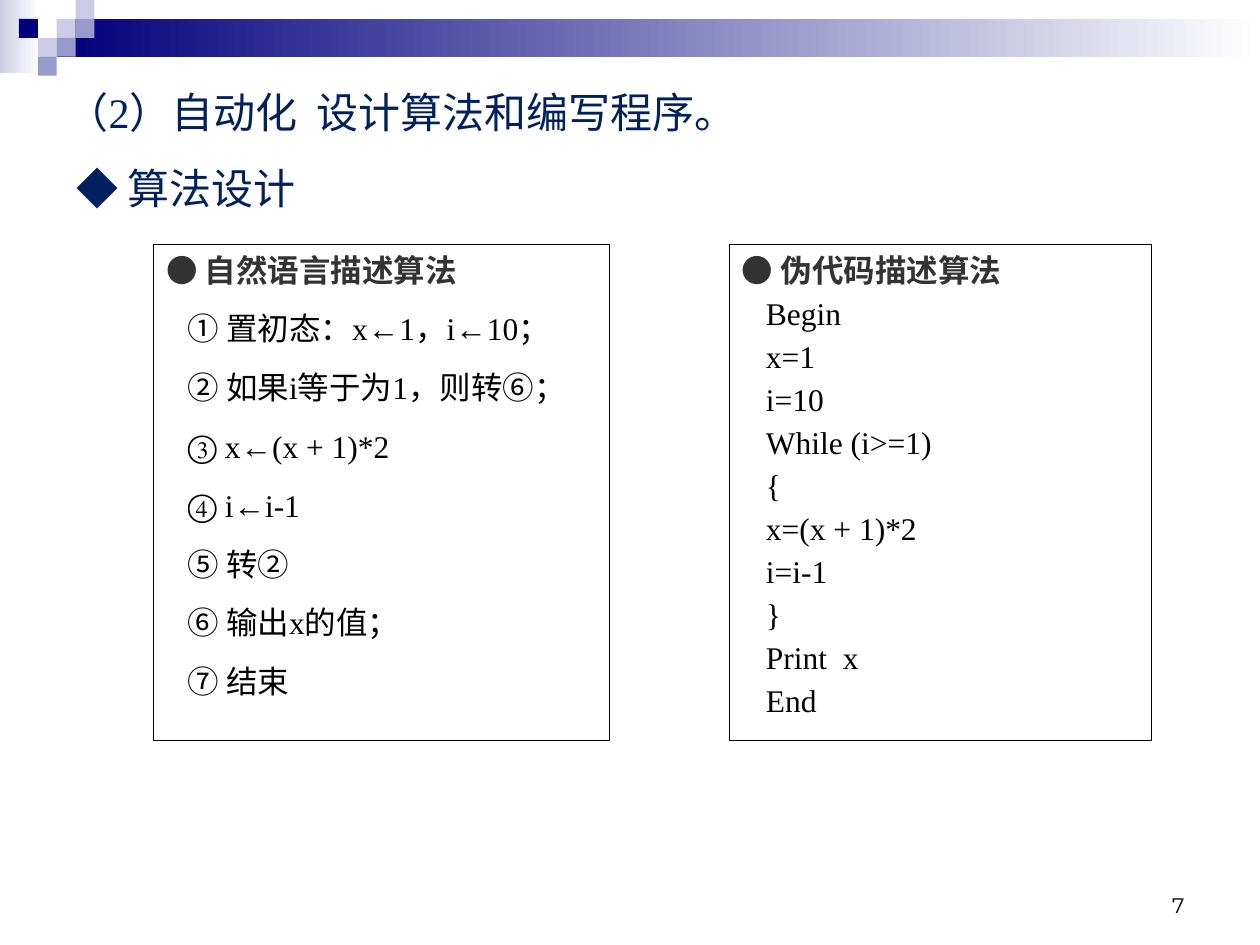
from pptx import Presentation
from pptx.dml.color import RGBColor
from pptx.enum.shapes import MSO_SHAPE
from pptx.enum.text import MSO_ANCHOR, PP_ALIGN
from pptx.oxml.ns import qn
from pptx.util import Inches, Pt

RECTANGLE = MSO_SHAPE.RECTANGLE
TOP, BOTTOM = MSO_ANCHOR.TOP, MSO_ANCHOR.BOTTOM
LEFT, JUSTIFY, RIGHT = PP_ALIGN.LEFT, PP_ALIGN.JUSTIFY, PP_ALIGN.RIGHT

SERIF, SANS, CHINESE, NUMBER_FONT = "Times New Roman", "Arial", "Noto Sans CJK SC", "Montserrat"
NAVY, LILAC, PERIWINKLE, WHITE = "00007D", "CCCCE6", "9999CC", "FFFFFF"
TITLE_COLOR, HEADING_COLOR, BLACK = "002060", "333333", "000000"

CELL = 0.15
GRADIENT_BARS = [((0, 0, 0.31, 0.58), LILAC), ((3 * CELL, CELL, 9.55, 2 * CELL), NAVY)]
MOSAIC = [
    (3, 1, LILAC), (4, 0, LILAC), (4, 1, PERIWINKLE), (2, 2, LILAC),
    (1, 1, NAVY), (3, 2, PERIWINKLE), (2, 3, PERIWINKLE),
]
TITLES = [
    (0, [("（2）自动化  设计算法和编写程序。", SERIF)]),
    (0.08, [("◆ ", CHINESE), ("算法设计", SERIF)]),
]
PANEL_TOP, PANEL_HEIGHT, PANEL_RIGHT_INSET = 1.94, 3.94, 0.03
PANELS = [
    (1.22, 3.62, 12, 0.17, "自然语言描述算法", [
        "① 置初态：x←1，i←10；", "② 如果i等于为1，则转⑥；", "③ x←(x + 1)*2",
        "④ i←i-1", "⑤ 转②", "⑥ 输出x的值；", "⑦ 结束",
    ]),
    (5.79, 3.35, 3, 0.19, "伪代码描述算法", [
        "Begin", "x=1", "i=10", "While (i>=1)", "{", "x=(x + 1)*2", "i=i-1", "}",
        "Print  x", "End",
    ]),
]


def color(value):
    return RGBColor.from_string(value)


def add_rectangle(slide, box, fill, fade=False, line=None):
    shape = slide.shapes.add_shape(RECTANGLE, *map(Inches, box))
    shape.shadow.inherit = False
    if fade:
        shape.fill.gradient()
        shape.fill.gradient_angle = 0
        for stop, position, value in zip(shape.fill.gradient_stops, (0, 1), (fill, WHITE)):
            stop.position = position
            stop.color.rgb = color(value)
    else:
        shape.fill.solid()
        shape.fill.fore_color.rgb = color(fill)
    if line:
        shape.line.color.rgb = color(line)
        shape.line.width = Pt(0.75)
    else:
        shape.line.fill.background()
    return shape


def write(text_frame, paragraphs, size, alignment=JUSTIFY, before=0, spacing=None, anchor=TOP):
    """Fill a frame from (indent, [(text, font, colour, bold), ...]) paragraphs."""
    text_frame.word_wrap = True
    text_frame.vertical_anchor = anchor
    for index, (indent, runs) in enumerate(paragraphs):
        paragraph = text_frame.add_paragraph() if index else text_frame.paragraphs[0]
        paragraph.alignment = alignment
        paragraph.line_spacing = spacing
        paragraph.space_before = Pt(before if index else 0)
        properties = paragraph._p.get_or_add_pPr()
        properties.set("marL", str(Inches(indent)))
        properties.set("indent", "0")
        for text, font, value, bold in runs:
            run = paragraph.add_run()
            run.text = text
            run.font.name = font
            run.font.size = Pt(size)
            run.font.bold = bold
            run.font.color.rgb = color(value)
            east_asian = run.font._element.makeelement(qn("a:ea"), {"typeface": CHINESE})
            run.font._element.append(east_asian)


def add_text(slide, box, paragraphs, size, **options):
    shape = slide.shapes.add_textbox(*map(Inches, box))
    write(shape.text_frame, paragraphs, size, **options)


def main():
    presentation = Presentation()
    presentation.slide_width, presentation.slide_height = Inches(10), Inches(7.5)
    slide = presentation.slides.add_slide(presentation.slide_layouts[6])

    for box, fill in GRADIENT_BARS:
        add_rectangle(slide, box, fill, fade=True)
    for column, row, fill in MOSAIC:
        add_rectangle(slide, (column * CELL, row * CELL, CELL, CELL), fill)

    add_text(slide, (7.17, 6.83, 2.33, 0.5), [(0, [("7", NUMBER_FONT, BLACK, False)])], 12,
             alignment=RIGHT, anchor=BOTTOM)
    titles = [(indent, [(text, font, TITLE_COLOR, False) for text, font in runs])
              for indent, runs in TITLES]
    add_text(slide, (0.43, 0.44, 9.37, 1.3), titles, 24, spacing=1.5)

    for left, width, before, indent, heading, steps in PANELS:
        panel = add_rectangle(slide, (left, PANEL_TOP, width, PANEL_HEIGHT), WHITE, line=BLACK)
        panel.text_frame.margin_right = Inches(PANEL_RIGHT_INSET)
        paragraphs = [(0, [("● ", SERIF, HEADING_COLOR, True),
                           (heading, SANS, HEADING_COLOR, True)])]
        paragraphs += [(indent, [(step, SERIF, BLACK, False)]) for step in steps]
        write(panel.text_frame, paragraphs, 18, alignment=LEFT, before=before)

    presentation.save("out.pptx")


if __name__ == "__main__":
    main()
